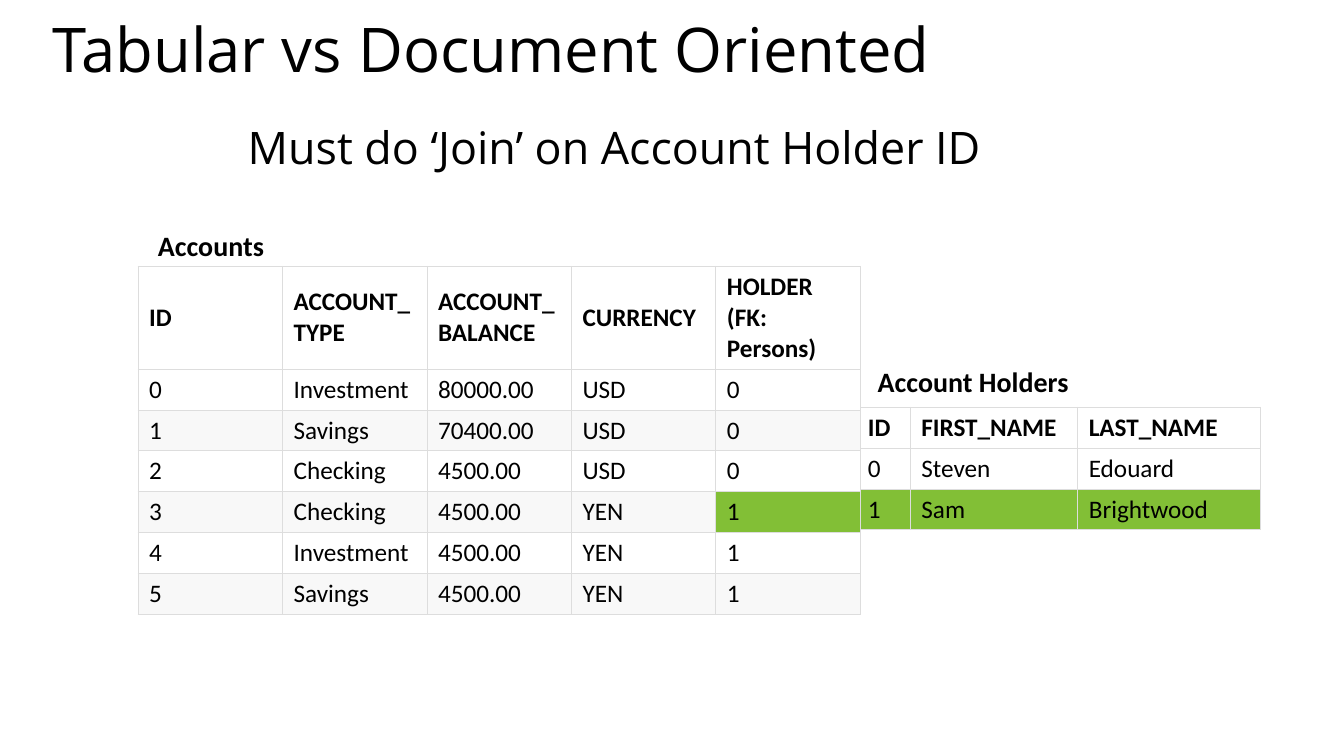
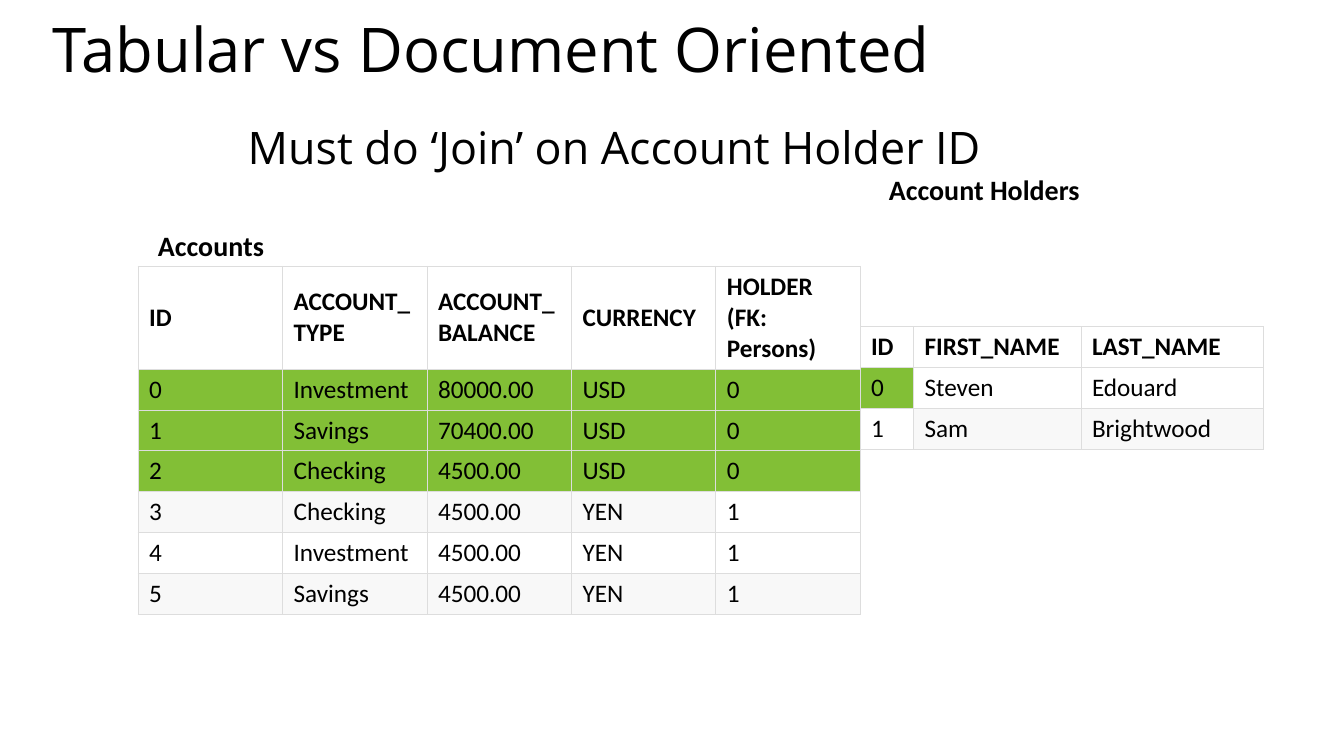
import pptx
import pptx.util
import pptx.dml.color
import pptx.enum.text
import pptx.oxml
import pptx.oxml.ns

Cm = pptx.util.Cm
Pt = pptx.util.Pt

WHITE = "FFFFFF"
BAND = "F8F8F8"
GREEN = "82BF36"
LINE = "DDDDDD"
INK = "000000"
HEAD = "Open Sans"
BODY = "Calibri"

ACCOUNTS = [
    ["ID", "ACCOUNT_TYPE", "ACCOUNT_BALANCE", "CURRENCY", "HOLDER (FK: Persons)"],
    ["0", "Investment", "80000.00", "USD", "0"],
    ["1", "Savings", "70400.00", "USD", "0"],
    ["2", "Checking", "4500.00", "USD", "0"],
    ["3", "Checking", "4500.00", "YEN", "1"],
    ["4", "Investment", "4500.00", "YEN", "1"],
    ["5", "Savings", "4500.00", "YEN", "1"],
]
HOLDERS = [
    ["ID", "FIRST_NAME", "LAST_NAME"],
    ["0", "Steven", "Edouard"],
    ["1", "Sam", "Brightwood"],
]


def tint(code):
    return pptx.dml.color.RGBColor.from_string(code)


class Deck:
    def __init__(self):
        self.show = pptx.Presentation()
        self.show.slide_width = Cm(33.87)
        self.show.slide_height = Cm(19.05)

    def start(self):
        self.slide = self.show.slides.add_slide(self.show.slide_layouts[6])
        back = self.slide.background.fill
        back.solid()
        back.fore_color.rgb = tint(WHITE)

    def words(self, para, text, size, face, bold=False):
        run = para.add_run()
        run.text = text
        run.font.size = Pt(size)
        run.font.name = face
        run.font.bold = bold
        run.font.color.rgb = tint(INK)

    def frame(self, left, top, width, height):
        spot = [Cm(n) for n in (left, top, width, height)]
        frame = self.slide.shapes.add_textbox(*spot).text_frame
        frame.word_wrap = True
        return frame

    def title(self, text):
        para = self.frame(1.07, 0.51, 32, 2.95).paragraphs[0]
        para.line_spacing = 0.8
        self.words(para, text, 44, HEAD)

    def lead(self, text):
        para = self.frame(-0.51, 2.9, 32, 2.13).paragraphs[0]
        para.alignment = pptx.enum.text.PP_ALIGN.CENTER
        para.space_before = Pt(14)
        self.words(para, text, 32, HEAD)

    def label(self, text, left, top, width):
        frame = self.frame(left, top, width, 1.12)
        frame.word_wrap = False
        frame.auto_size = pptx.enum.text.MSO_AUTO_SIZE.SHAPE_TO_FIT_TEXT
        self.words(frame.paragraphs[0], text, 20, BODY, True)

    def edge(self, cell):
        props = cell._tc.get_or_add_tcPr()
        space = pptx.oxml.ns.nsdecls("a")
        for spot, side in enumerate("LRTB"):
            props.insert(spot, pptx.oxml.parse_xml(
                f'<a:ln{side} {space} w="{Pt(0.6)}"><a:solidFill>'
                f'<a:srgbClr val="{LINE}"/></a:solidFill></a:ln{side}>'))

    def table(self, data, left, top, widths, first, marks):
        tall = [first] + [1.03] * (len(data) - 1)
        table = self.slide.shapes.add_table(
            len(data), len(widths), Cm(left), Cm(top),
            Cm(sum(widths)), Cm(sum(tall))).table
        table.first_row = False
        table.horz_banding = False
        for col, width in zip(table.columns, widths):
            col.width = Cm(width)
        for row, height in zip(table.rows, tall):
            row.height = Cm(height)
        for r, line in enumerate(data):
            for c, text in enumerate(line):
                cell = table.cell(r, c)
                plain = BAND if r and r % 2 == 0 else WHITE
                cell.fill.solid()
                cell.fill.fore_color.rgb = tint(marks.get((r, c), plain))
                cell.margin_left = cell.margin_right = Cm(0.28)
                cell.margin_top = cell.margin_bottom = Cm(0.13)
                cell.vertical_anchor = pptx.enum.text.MSO_ANCHOR.MIDDLE
                self.words(cell.text_frame.paragraphs[0], text, 18, BODY, r == 0)
                self.edge(cell)

    def join(self, place, tag, held, owned):
        self.start()
        self.title("Tabular vs Document Oriented")
        self.table(HOLDERS, *place, [1.35, 4.22, 4.6], 1.03, held)
        self.table(ACCOUNTS, 3.48, 6.71, [3.64] * 5, 2.59, owned)
        self.label("Account Holders", *tag, 5.36)
        self.label("Accounts", 3.73, 5.64, 3.2)
        self.lead("Must do ‘Join’ on Account Holder ID")


deck = Deck()
deck.join((21.59, 10.26), (21.87, 9.07),
          {(2, c): GREEN for c in range(3)},
          {(4, 4): GREEN})
deck.join((21.67, 8.23), (22.15, 4.22),
          {(1, 0): GREEN, (2, 0): WHITE},
          {(4, 4): WHITE} | {(r, c): GREEN for r in range(1, 4) for c in range(5)})
deck.show.save("out.pptx")
